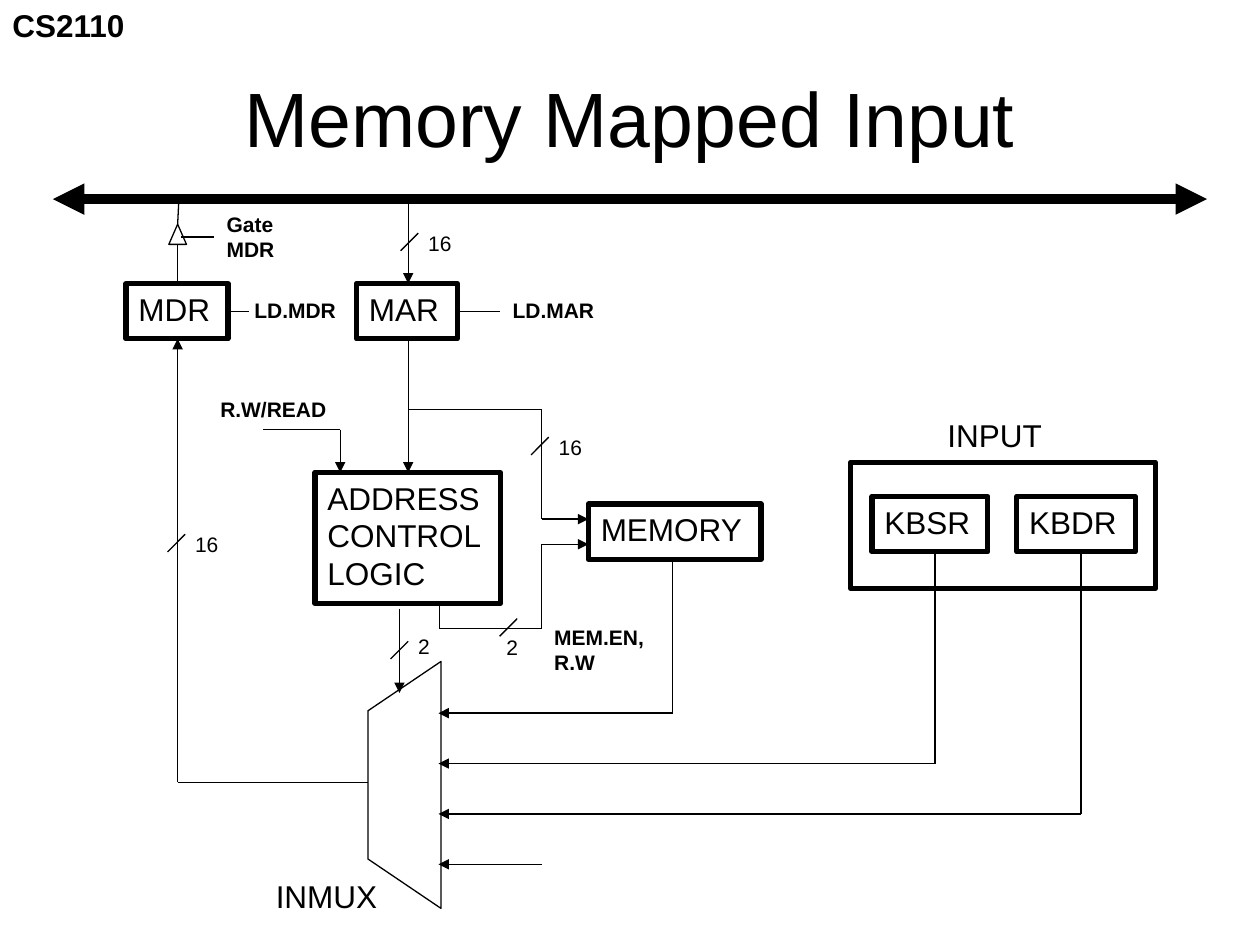
from dataclasses import dataclass
from itertools import pairwise
from typing import Any

from lxml.etree import SubElement
from pptx import Presentation
from pptx.dml.color import RGBColor
from pptx.enum.shapes import MSO_CONNECTOR as Link, MSO_SHAPE as Preset
from pptx.enum.text import MSO_ANCHOR as Anchor, MSO_AUTO_SIZE as Fit, PP_ALIGN as Align
from pptx.oxml.ns import qn
from pptx.util import Inches, Pt

BLACK = RGBColor(0, 0, 0)
WHITE = RGBColor(255, 255, 255)
COLUMNS, ROWS = 100, 75
WIDTH, HEIGHT = Inches(10), Inches(7.5)
THIN, THICK, HEAVY = Pt(0.75), Pt(3), Pt(6)
BLOCK = {"size": Pt(18)}
SIGNAL = {"size": Pt(12), "bold": True}
BITS = {"size": Pt(12)}
TITLE = {"size": Pt(44)}
HUGGING = {"word_wrap": False, "auto_size": Fit.SHAPE_TO_FIT_TEXT, "vertical_anchor": Anchor.TOP}
FILLING = {"word_wrap": True, "vertical_anchor": Anchor.MIDDLE}


def set_values(target, values):
    """Set each named attribute of the target."""
    for name, value in values.items():
        setattr(target, name, value)


def write(shape, text, font, frame=HUGGING, align=Align.LEFT):
    """Write the lines of text into a shape."""
    shape.text_frame.text = text
    set_values(shape.text_frame, frame)
    for paragraph in shape.text_frame.paragraphs:
        paragraph.alignment = align
        set_values(paragraph.font, {"name": "Arial", **font})
        paragraph.font.color.rgb = BLACK


@dataclass
class Region:
    """A box on the slide grid whose parts are placed from its corner."""
    slide: Any
    left: float
    top: float
    cols: float
    rows: float

    def spot(self, col, row):
        """Turn a grid position in the region into slide lengths."""
        return (round((self.left + col) * WIDTH / COLUMNS),
                round((self.top + row) * HEIGHT / ROWS))

    def area(self, col, row, cols, rows):
        """Turn a grid rectangle in the region into slide lengths."""
        return (*self.spot(col, row), round(cols * WIDTH / COLUMNS), round(rows * HEIGHT / ROWS))

    def outline(self, *area, preset=Preset.RECTANGLE, weight=THICK, fill=WHITE):
        """Draw an outlined shape."""
        shape = self.slide.shapes.add_shape(preset, *self.area(*area))
        shape.shadow.inherit = False
        if fill is None:
            shape.fill.background()
        else:
            shape.fill.solid()
            shape.fill.fore_color.rgb = fill
        shape.line.color.rgb = BLACK
        shape.line.width = weight
        return shape

    def block(self, text, *area, fill=None):
        """Draw a named hardware block."""
        write(self.outline(*area, fill=fill), text, BLOCK)

    def label(self, text, *area, font=SIGNAL, **layout):
        """Place free text."""
        write(self.slide.shapes.add_textbox(*self.area(*area)), text, font, **layout)

    def wire(self, *points, start=False, end=False, weight=THIN):
        """Run straight segments through the points, with optional arrowheads."""
        segments = list(pairwise(points))
        for index, (a, b) in enumerate(segments):
            segment = self.slide.shapes.add_connector(Link.STRAIGHT, *self.spot(*a), *self.spot(*b))
            segment.line.color.rgb = BLACK
            segment.line.width = weight
            heads = {"a:headEnd": start and index == 0,
                     "a:tailEnd": end and index == len(segments) - 1}
            for tag, shown in heads.items():
                if shown:
                    SubElement(segment.line._get_or_add_ln(), qn(tag), type="triangle")
            SubElement(segment._element.spPr, qn("a:effectLst"))

    def bus_width(self, bits, col, row, right=0.5, down=-1.4):
        """Slash a wire and state how many bits it carries."""
        self.wire((col + 0.7, row - 0.7), (col - 0.7, row + 0.7))
        self.label(bits, col + right, row + down, 2 + len(bits) * 0.95, 3, font=BITS)


def draw_header(region):
    """Draw the course code and the title."""
    region.label("CS2110", 0, 0, 11, 4, font={**BLOCK, "bold": True})
    region.label("Memory Mapped Input", 5, 3, region.cols - 10, region.rows - 3,
                 font=TITLE, frame=FILLING, align=Align.CENTER)


def draw_bus(region):
    """Draw the system bus."""
    region.wire((0, 0), (region.cols, 0), start=True, end=True, weight=HEAVY)


def draw_registers(region):
    """Draw MDR and MAR with their links to the bus."""
    registers = (("MDR", 0, 8.1, 9.8, 9.2), ("MAR", 18.3, 8, 29.7, 29.7))
    for register, left, cols, load_end, load_left in registers:
        region.block(register, left, 6.5, cols, 4.4)
        region.wire((left + cols, 8.7), (load_end, 8.7))
        region.label(f"LD.{register}", load_left, 7.1, 8.5, 3)
    region.outline(3.4, 1.8, 1.4, 1.6, preset=Preset.ISOSCELES_TRIANGLE, weight=THIN)
    region.wire((4.1, 6.5), (4.1, 3.4))
    region.wire((4.1, 1.8), (4.2, -0.2))
    region.wire((4.4, 2.8), (7, 2.8))
    region.label("Gate\nMDR", 7, 0.3, 5.8, 5)
    region.wire((22.4, -0.2), (22.4, 6.5), end=True)
    region.bus_width("16", 22.5, 3.2)


def draw_control(region):
    """Draw the address control logic and the memory it enables."""
    region.block("ADDRESS\nCONTROL\nLOGIC", 9, 10.5, 14.7, 10.4)
    region.block("MEMORY", 30.7, 13, 13.7, 4.4)
    region.wire((16.4, -0.1), (16.4, 10.5), end=True)
    region.wire((16.4, 5.5), (27, 5.5), (27, 14.2), (30.7, 14.2), end=True)
    region.wire((18.9, 20.9), (18.9, 22.9), (27, 22.9), (27, 16.2), (30.7, 16.2), end=True)
    region.wire((4.9, 7.1), (11, 7.1), (11, 10.5), end=True)
    region.label("R.W/READ", 0.5, 4, 10.4, 3)
    region.label("MEM.EN,\nR.W", 27, 22.1, 9.1, 5)
    region.bus_width("16", 26.85, 8.4)
    region.bus_width("2", 24.35, 22.8, right=-1.15, down=0.1)


def draw_input(region):
    """Draw the input device with its two registers."""
    region.outline(0, 4.2, region.cols, region.rows - 4.2)
    region.label("INPUT", 6.7, 0, 9.5, 4, font=BLOCK)
    region.block("KBSR", 1.7, 6.9, 9.2, 4.4, fill=WHITE)
    region.block("KBDR", 13.2, 6.9, 9.4, 4.4, fill=WHITE)


def draw_mux(region):
    """Draw the input multiplexer with its sources, select and output."""
    cols, rows = region.cols, region.rows
    mux = region.outline((cols - rows) / 2, (rows - cols) / 2, rows, cols,
                         preset=Preset.FLOWCHART_MANUAL_OPERATION, weight=THIN)
    mux.rotation = 90
    sources = ([(24.2, -8.1)], [(45, -8.7)], [(56.6, -8.7)], [])
    corners = (24.2, 45, 56.6, 13.8)
    for index, (source, corner) in enumerate(zip(sources, corners)):
        row = 4.1 + 4 * index
        region.wire(*source, (corner, row), (5.6, row), end=True)
    region.wire((2.5, -4.2), (2.5, 2.5), end=True)
    region.wire((0, 9.6), (-15.1, 9.6), (-15.1, -25.6), end=True)
    region.bus_width("2", 2.5, -0.9, down=-1.8)
    region.bus_width("16", -15.2, -9.4)
    region.label("INMUX", -8.3, 16.6, 10.1, 4, font=BLOCK)


def main():
    """Build the slide and save it."""
    deck = Presentation()
    set_values(deck, {"slide_width": WIDTH, "slide_height": HEIGHT})
    slide = deck.slides.add_slide(deck.slide_layouts[6])
    plan = ((draw_header, (0, 0, COLUMNS, 15.5)),
            (draw_bus, (4.2, 15.8, 91.6, 0)),
            (draw_registers, (10, 16, 38, 11)),
            (draw_control, (16, 27, 45, 27)),
            (draw_input, (67.5, 32.5, 24.2, 14.2)),
            (draw_mux, (29.2, 52.5, 5.8, 19.6)))
    for draw, box in plan:
        draw(Region(slide, *box))
    deck.save("out.pptx")


if __name__ == "__main__":
    main()
